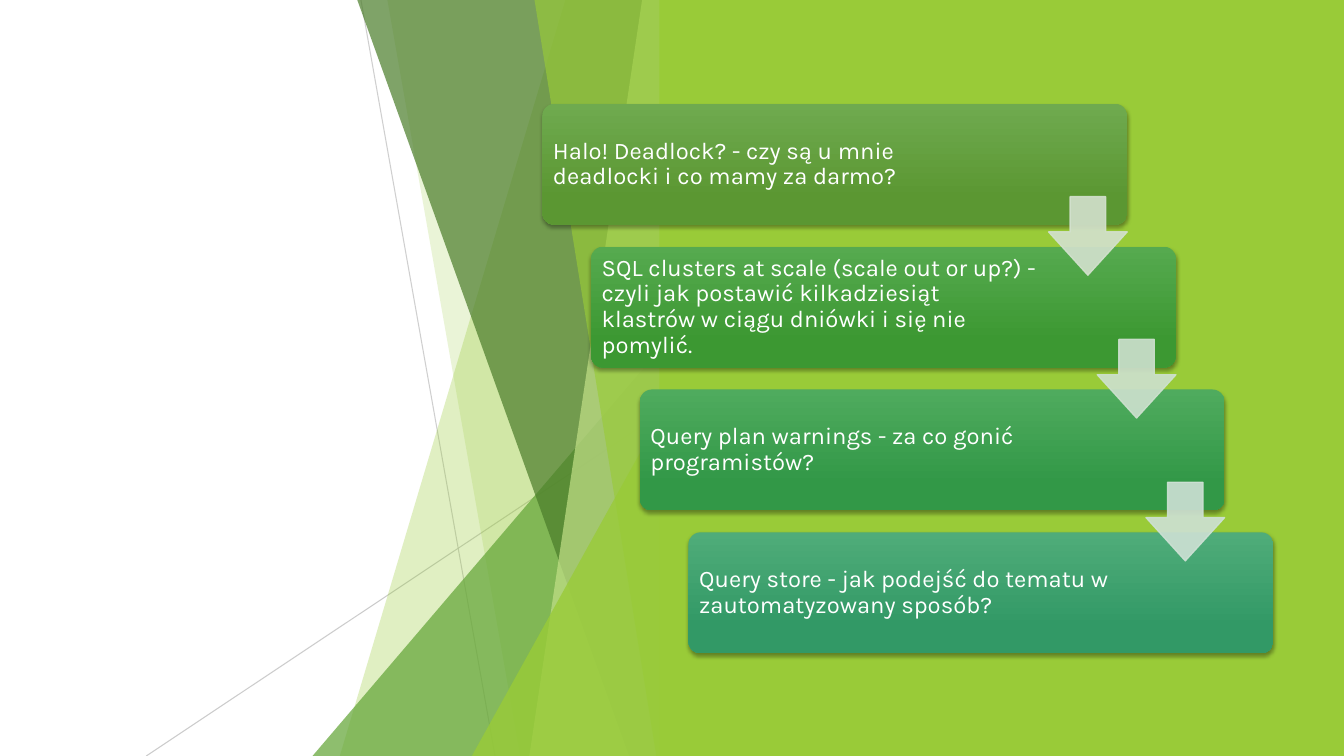
from pptx import Presentation
from pptx.dml.color import RGBColor
from pptx.enum.shapes import MSO_CONNECTOR, MSO_SHAPE as Shape
from pptx.enum.text import MSO_ANCHOR
from pptx.oxml.ns import qn
from pptx.util import Inches, Pt
from lxml.etree import SubElement

# Text, gradient top, gradient bottom, colour of the arrow to the next topic
TOPICS = [
    ("Halo! Deadlock? - czy są u mnie deadlocki i co mamy za darmo?",
     "6FAA4F", "5B9732", "D3E1CE"),
    ("SQL clusters at scale (scale out or up?) - czyli jak postawić kilkadziesiąt "
     "klastrów w ciągu dniówki i się nie pomylić.",
     "56AA4F", "3C9832", "CEE1CF"),
    ("Query plan warnings - za co gonić programistów?",
     "4FAB5E", "329847", "CEE1D5"),
    ("Query store - jak podejść do tematu w zautomatyzowany sposób?",
     "4FAC79", "329966", None),
]

THEME = {
    "font": "Karla", "size": 17, "text": "FFFFFF",
    "lime": "99CB38", "green": "63A537", "dark": "4A7C29", "pale": "C2E088",
    "ray": "BFBFBF", "shadow": "000000",
}

WIDTH, HEIGHT = 13.33, 7.5
PANEL_LEFT = 6.54
FACET_TOP, FACET_RIGHT = -0.01, 6.66

# Start, end, opacity
RAYS = [((3.58, 0), (4.91, HEIGHT), 75), ((6.66, 4.03), (1.45, HEIGHT), 80)]
# Bands: left edge at the top and at the bottom; peaks: left and top
FACETS = [
    ("band", 5.61, 3.37, "lime", 30),
    ("band", 3.84, 5.16, "lime", 20),
    ("peak", 3.10, 3.33, "green", 72),
    ("band", 3.54, 6.24, "dark", 70),
    ("band", 6.37, 5.25, "pale", 70),
    ("band", 5.30, 6.51, "lime", 65),
    ("peak", 4.68, 3.93, "lime", 80),
]

CARD_LEFT, CARD_TOP, CARD_W, CARD_H = 5.38, 1.03, 5.8, 1.2
STEP_X, STEP_Y = 0.483, 1.417
TEXT_PAD, TEXT_W = 0.035, 4.46
ARROW_DX, ARROW_DY, ARROW_SIZE = 5.02, 0.92, 0.78


def rgb(value):
    return RGBColor.from_string(value)


def fade(shape, opacity):
    """Make every solid colour of the shape partly transparent."""
    for color in shape._element.spPr.iter(qn("a:srgbClr")):
        SubElement(color, qn("a:alpha"), val=str(opacity * 1000))


def paint(shape, color, opacity=100, outlined=False):
    shape.shadow.inherit = False
    shape.fill.solid()
    shape.fill.fore_color.rgb = rgb(color)
    if outlined:
        shape.line.color.rgb = rgb(color)
        shape.line.width = Pt(1)
    else:
        shape.line.fill.background()
    if opacity < 100:
        fade(shape, opacity)


def add_preset(shapes, kind, left, top, width, height, adjustments=()):
    shape = shapes.add_shape(kind, *map(Inches, (left, top, width, height)))
    for i, value in enumerate(adjustments):
        shape.adjustments[i] = value
    return shape


def add_ray(shapes, start, end, opacity):
    ray = shapes.add_connector(MSO_CONNECTOR.STRAIGHT, *map(Inches, start + end))
    ray.line.color.rgb = rgb(THEME["ray"])
    ray.line.width = Pt(0.75)
    fade(ray, opacity)
    SubElement(ray._element.spPr, qn("a:effectLst"))


def add_facet(shapes, kind, first, second, color, opacity):
    if kind == "band":
        corners = [(first, FACET_TOP), (FACET_RIGHT, FACET_TOP),
                   (FACET_RIGHT, HEIGHT), (second, HEIGHT)]
        points = [(Inches(x), Inches(y)) for x, y in corners]
        outline = shapes.build_freeform(*points[0])
        outline.add_line_segments(points[1:], close=True)
        facet = outline.convert_to_shape()
    else:
        facet = add_preset(shapes, Shape.ISOSCELES_TRIANGLE, first, second,
                           FACET_RIGHT - first, HEIGHT - second, [1])
    paint(facet, THEME[color], opacity)


def add_card(shapes, left, top, light, deep):
    card = add_preset(shapes, Shape.ROUNDED_RECTANGLE, left, top, CARD_W, CARD_H, [0.1])
    card.line.fill.background()
    card.fill.gradient()
    card.fill.gradient_angle = 270
    for stop, color, position in zip(card.fill.gradient_stops, (light, deep), (0, 0.78)):
        stop.color.rgb = rgb(color)
        stop.position = position
    card.shadow.inherit = False
    effects = card._element.spPr.find(qn("a:effectLst"))
    shadow = SubElement(effects, qn("a:outerShdw"), blurRad=str(Pt(3)), dist=str(Pt(2)),
                        dir="5400000", rotWithShape="0")
    color = SubElement(shadow, qn("a:srgbClr"), val=THEME["shadow"])
    SubElement(color, qn("a:alpha"), val="35000")


def add_topic_text(shapes, left, top, text):
    box = shapes.add_textbox(Inches(left + TEXT_PAD), Inches(top + TEXT_PAD),
                             Inches(TEXT_W), Inches(CARD_H - 2 * TEXT_PAD))
    frame = box.text_frame
    frame.word_wrap = True
    frame.vertical_anchor = MSO_ANCHOR.MIDDLE
    frame.margin_left = frame.margin_right = Inches(0.07)
    frame.margin_top = frame.margin_bottom = Inches(0.07)
    paragraph = frame.paragraphs[0]
    paragraph.text = text
    paragraph.line_spacing = 0.9
    paragraph.font.name = THEME["font"]
    paragraph.font.size = Pt(THEME["size"])
    paragraph.font.color.rgb = rgb(THEME["text"])


def main():
    deck = Presentation()
    deck.slide_width, deck.slide_height = Inches(WIDTH), Inches(HEIGHT)
    shapes = deck.slides.add_slide(deck.slide_layouts[6]).shapes

    for ray in RAYS:
        add_ray(shapes, *ray)
    for facet in FACETS:
        add_facet(shapes, *facet)
    panel = add_preset(shapes, Shape.RECTANGLE, PANEL_LEFT, 0, WIDTH - PANEL_LEFT, HEIGHT)
    paint(panel, THEME["lime"])

    corners = [(CARD_LEFT + i * STEP_X, CARD_TOP + i * STEP_Y) for i in range(len(TOPICS))]
    for (left, top), (text, light, deep, _) in zip(corners, TOPICS):
        add_card(shapes, left, top, light, deep)
        add_topic_text(shapes, left, top, text)
    for (left, top), (*_, arrow_color) in zip(corners, TOPICS):
        if arrow_color:
            arrow = add_preset(shapes, Shape.DOWN_ARROW, left + ARROW_DX, top + ARROW_DY,
                               ARROW_SIZE, ARROW_SIZE, [0.45, 0.55])
            paint(arrow, arrow_color, 90, outlined=True)

    deck.save("out.pptx")


if __name__ == "__main__":
    main()
